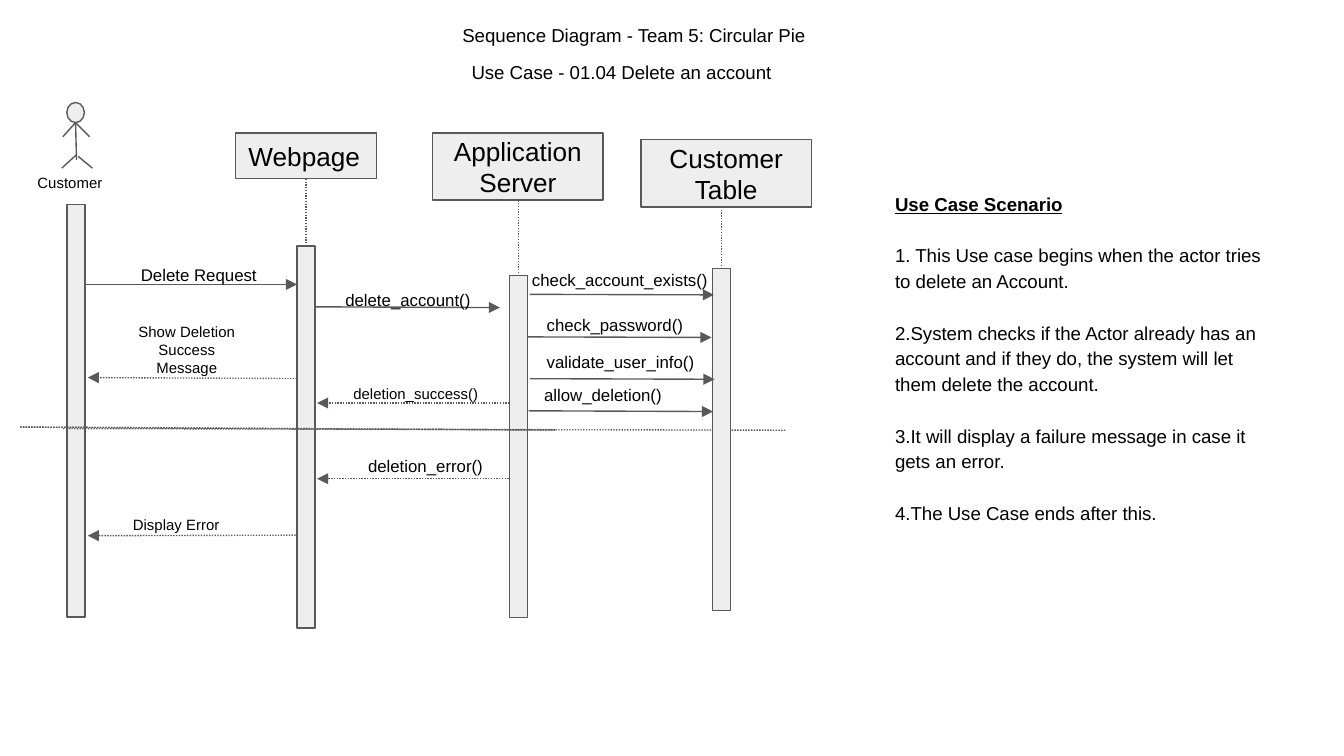
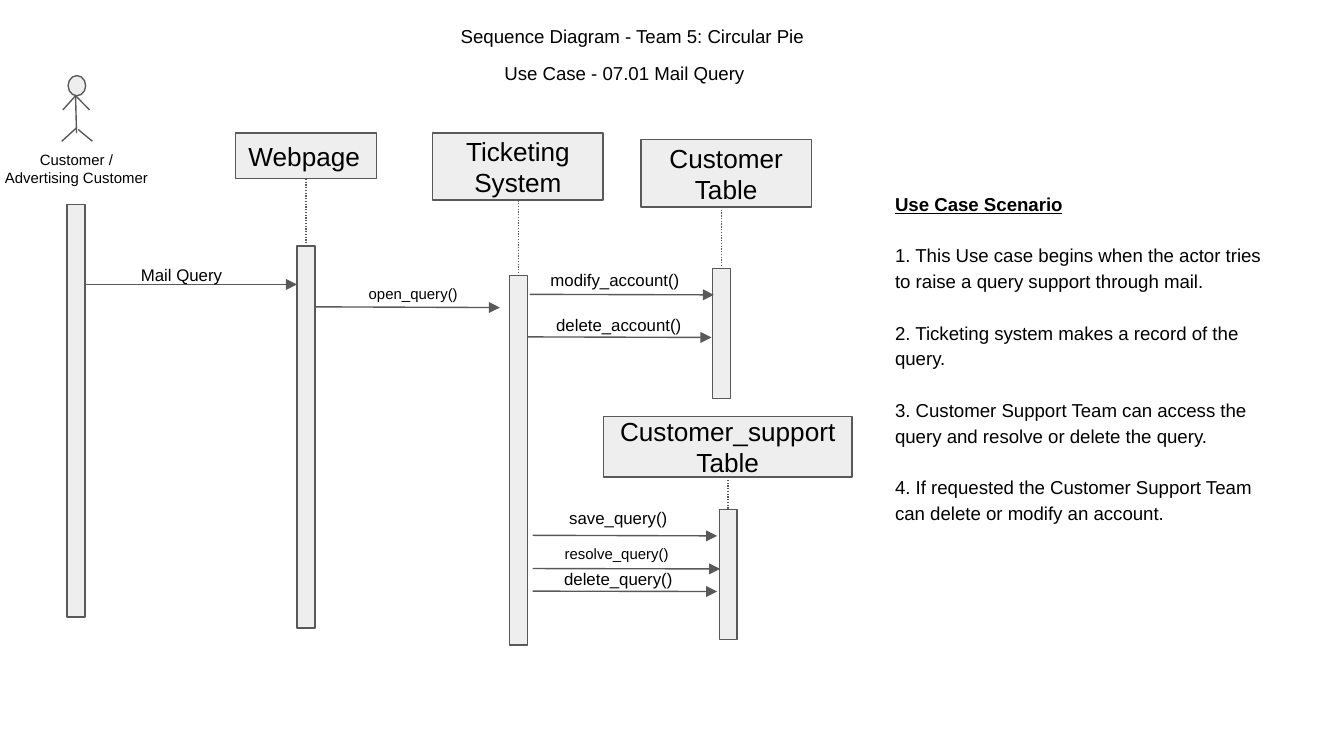
from pptx import Presentation, util as u
from pptx.dml.color import RGBColor
from pptx.enum import dml, shapes, text
from pptx.oxml import xmlchemy, parse_xml
from pptx.oxml.ns import qn
from lxml import etree

COLOURS = {"ink": "000000", "fill": "EEEEEE", "line": "595959"}
FONT = "Arial"
LEFT, CENTER = text.PP_ALIGN.LEFT, text.PP_ALIGN.CENTER
BAR_WIDTH = 9.6
FRAME = {"word_wrap": True, "auto_size": text.MSO_AUTO_SIZE.NONE,
         **{f"margin_{side}": u.Pt(7.2) for side in ("left", "right", "top", "bottom")}}

# Shared content: heading, scenario and lifelines
HEADING = "Sequence Diagram - Team 5: Circular Pie"
SCENARIO_HEADING = "Use Case Scenario"
SCENARIO_BOX = (472.3, 94.3, 213.8, 193.7)

# Header: left, top, width, height; bar: left, top
WEBPAGE = (126, 71.3, 75.6, 24.5), (159.1, 131.8)
SERVER = (231.8, 71.3, 91.4, 36), (272.9, 147.6)
TABLE = (343.4, 74.9, 91.4, 36), (381.6, 143.8)
SUPPORT = (323.3, 223, 133.2, 32.6), (385.3, 272.9)

# Stick figure: head box and limbs, measured from the top of the head
HEAD = (35.8, 0, 9.4, 10.8)
LIMBS = [((40.5, 10.8), (41, 30.8)), ((48, 18.4), (40.5, 10.8)),
         ((40.5, 10.8), (33.7, 18.4)), ((41, 28), (33.1, 35.2)),
         ((41.9, 28.9), (49.5, 35.2))]

# Message: label, label box (left, top, width), size, align, line spacing,
# arrow start, arrow end, dotted
SLIDES = [
    {
        "use_case": ("Use Case - 01.04 Delete an account", (245.5, 25.2, 187.9, 26.6), LEFT),
        "heading_box": (240.5, 5.8, 206, 26.6),
        "actor": (["Customer"], (13, 85.7, 55.4, 24.5), LEFT),
        "head": (0, 54.9),
        "columns": [("Webpage", LEFT, WEBPAGE, 204.7),
                    ("Application Server", CENTER, SERVER, 183.4),
                    ("Customer Table", CENTER, TABLE, 183.4)],
        "dividers": [((10.8, 228.8), (297.4, 230.4)), ((10.8, 228.8), (297.4, 230.4)),
                     ((33.8, 229.6), (421.2, 230.5))],
        "messages": [
            ("Delete Request", (68.4, 134.6, 102), 9, LEFT, 1, (45.5, 152.4), (159.1, 152.4), False),
            ("delete_account()", (154.8, 146.2, 127.4), 9, CENTER, 1.15, (169, 164.4), (267.8, 164.8), False),
            ("check_account_exists()", (277.9, 137.5, 131), 9, LEFT, 1, (283.7, 157.7), (382.5, 158), False),
            ("check_password()", (285.8, 161.3, 91.4), 9, LEFT, 1, (282.4, 180.5), (381.2, 180.8), False),
            ("validate_user_info()", (285.8, 181.4, 95.8), 9, LEFT, 1, (283.9, 202.9), (382.8, 203.2), False),
            ("allow_deletion()", (284.4, 198.7, 95.8), 9, LEFT, 1, (283.2, 220.1), (382, 220.5), False),
            ("deletion_success()", (182.2, 198.7, 91.4), 8, LEFT, 1, (272.9, 215.9), (169.9, 215.9), True),
            ("Show Deletion Success Message", (65.2, 165.6, 69.8), 8, CENTER, 1, (159.1, 202.8), (47, 202.3), True),
            ("deletion_error()", (190.1, 236.9, 127.4), 9, LEFT, 1, (272.5, 256.5), (169.9, 256.5), True),
            ("Display Error", (64.1, 269.3, 87.8), 8, LEFT, 1, (158.4, 286.7), (47, 287), True),
        ],
        "scenario": [
            "1. This Use case begins when the actor tries to delete an Account.",
            "2.System checks if the Actor already has an account and if they do, "
            "the system will let them delete the account.",
            "3.It will display a failure message in case it gets an error.",
            "4.The Use Case ends after this.",
        ],
    },
    {
        "use_case": ("Use Case - 07.01 Mail Query", (240.5, 25.9, 187.9, 26.6), CENTER),
        "heading_box": (239.6, 5.9, 221.8, 26.6),
        "actor": (["Customer /", "Advertising Customer"], (-20.9, 73.4, 123.8, 33.8), CENTER),
        "head": (0.7, 40.5),
        "columns": [("Webpage", LEFT, WEBPAGE, 204.7),
                    ("Ticketing System", CENTER, SERVER, 198),
                    ("Customer Table", CENTER, TABLE, 69.7),
                    ("Customer_support Table", CENTER, SUPPORT, 69.7)],
        "dividers": [],
        "messages": [
            ("Mail Query", (68.4, 134.6, 102), 9, LEFT, 1, (45.5, 152.4), (159.1, 152.4), False),
            ("open_query()", (180, 145.4, 82.8), 8, CENTER, 1, (169, 164.4), (267.8, 164.8), False),
            ("modify_account()", (277.9, 137.5, 103), 9, CENTER, 1, (283.7, 157.7), (382.5, 158), False),
            ("delete_account()", (285.8, 161.3, 91.4), 9, CENTER, 1, (282.4, 180.5), (381.2, 180.8), False),
            ("save_query()", (277.9, 265, 106.6), 9, CENTER, 1, (285.3, 286.8), (384.2, 287.1), False),
            ("resolve_query()", (275, 283, 110.9), 8, CENTER, 1.15, (285.3, 304.6), (385.8, 304.8), False),
            ("delete_query()", (277.9, 297.4, 106.6), 9, CENTER, 1, (285.3, 316.7), (384.2, 316.9), False),
        ],
        "scenario": [
            "1. This Use case begins when the actor tries to raise a query support through mail.",
            "2. Ticketing system makes a record of the query.",
            "3. Customer Support Team can access the query and resolve or delete the query.",
            "4. If requested the Customer Support Team can delete or modify an account.",
        ],
    },
]


def colour(name):
    return RGBColor.from_string(COLOURS[name])


def assign(target, values):
    for key, value in values.items():
        setattr(target, key, value)


def place(holder, box):
    assign(holder, dict(zip(("left", "top", "width", "height"), map(u.Pt, box))))


def write(holder, lines, size, align=LEFT, spacing=1.0, anchor=text.MSO_ANCHOR.TOP):
    """Fill a text frame with one paragraph for each line."""
    frame = holder.text_frame
    assign(frame, {**FRAME, "vertical_anchor": anchor})
    for index, line in enumerate(lines):
        paragraph = frame.add_paragraph() if index else frame.paragraphs[0]
        assign(paragraph, {"alignment": align, "line_spacing": spacing,
                           "space_before": u.Pt(0), "space_after": u.Pt(0)})
        run = paragraph.add_run()
        run.text = line
        assign(run.font, {"name": FONT, "size": u.Pt(size)})
        run.font.color.rgb = colour("ink")
    return frame.paragraphs


def label(slide, lines, box, size, align, spacing=1.0):
    write(slide.shapes.add_textbox(*map(u.Pt, box)), lines, size, align, spacing)


def block(slide, kind, box):
    shape = slide.shapes.add_shape(kind, *map(u.Pt, box))
    shape.shadow.inherit = False
    shape.fill.solid()
    shape.fill.fore_color.rgb = colour("fill")
    shape.line.color.rgb = colour("line")
    shape.line.width = u.Pt(0.75)
    return shape


def stroke(slide, start, end, dotted=False, arrow=False):
    line = slide.shapes.add_connector(shapes.MSO_CONNECTOR.STRAIGHT, *map(u.Pt, start + end))
    line.line.color.rgb = colour("line")
    line.line.width = u.Pt(0.75)
    if dotted:
        line.line.dash_style = dml.MSO_LINE.ROUND_DOT
    if arrow:
        etree.SubElement(line.line._get_or_add_ln(), qn("a:tailEnd"),
                         type="triangle", w="med", len="med")
    etree.SubElement(line._element.spPr, qn("a:effectLst"))


def draw_column(slide, name, align, position, bar_height):
    """Header, dotted lifeline and activation bar."""
    (left, top, width, height), (bar_left, bar_top) = position
    header = block(slide, shapes.MSO_SHAPE.RECTANGLE, (left, top, width, height))
    write(header, [name], 14, align, anchor=text.MSO_ANCHOR.MIDDLE)
    block(slide, shapes.MSO_SHAPE.RECTANGLE, (bar_left, bar_top, BAR_WIDTH, bar_height))
    middle = bar_left + BAR_WIDTH / 2
    stroke(slide, (middle, top + height), (middle, bar_top), dotted=True)


def draw_actor(slide, lines, box, align, head):
    dx, dy = head
    block(slide, shapes.MSO_SHAPE.OVAL, (HEAD[0] + dx, dy, *HEAD[2:]))
    for start, end in LIMBS:
        stroke(slide, *((x, y + dy) for x, y in (start, end)))
    label(slide, lines, box, 8, align)
    block(slide, shapes.MSO_SHAPE.RECTANGLE, (35.9, 109.7, BAR_WIDTH, 221))


def draw_scenario(body, steps):
    place(body, SCENARIO_BOX)
    paragraphs = write(body, [SCENARIO_HEADING] + steps, 10, spacing=1.15)
    for index, paragraph in enumerate(paragraphs):
        properties = paragraph._p.get_or_add_pPr()
        properties.set("marL", "0")
        properties.set("indent", "0")
        etree.SubElement(properties, qn("a:buNone"))
        if index:
            paragraph.space_before = u.Pt(13.75)
    assign(paragraphs[0].runs[0].font, {"bold": True, "underline": True})


deck = Presentation()
assign(deck, {"slide_width": u.Pt(720), "slide_height": u.Pt(405)})

for case in SLIDES:
    slide = deck.slides.add_slide(deck.slide_layouts[1])

    # Headings and scenario
    place(slide.shapes.title, case["heading_box"])
    write(slide.shapes.title, [HEADING], 10)
    use_case, box, align = case["use_case"]
    label(slide, [use_case], box, 10, align)
    draw_scenario(slide.placeholders[1], case["scenario"])

    # Actor and lifelines; the last bar covers the dividers
    draw_actor(slide, *case["actor"], case["head"])
    for column in case["columns"][:-1]:
        draw_column(slide, *column)
    for start, end in case["dividers"]:
        stroke(slide, start, end, dotted=True)
    draw_column(slide, *case["columns"][-1])

    # Messages
    for name, (left, top, width), size, align, spacing, start, end, dotted in case["messages"]:
        stroke(slide, start, end, dotted, arrow=True)
        label(slide, [name], (left, top, width, 25), size, align, spacing)

deck.save("out.pptx")
